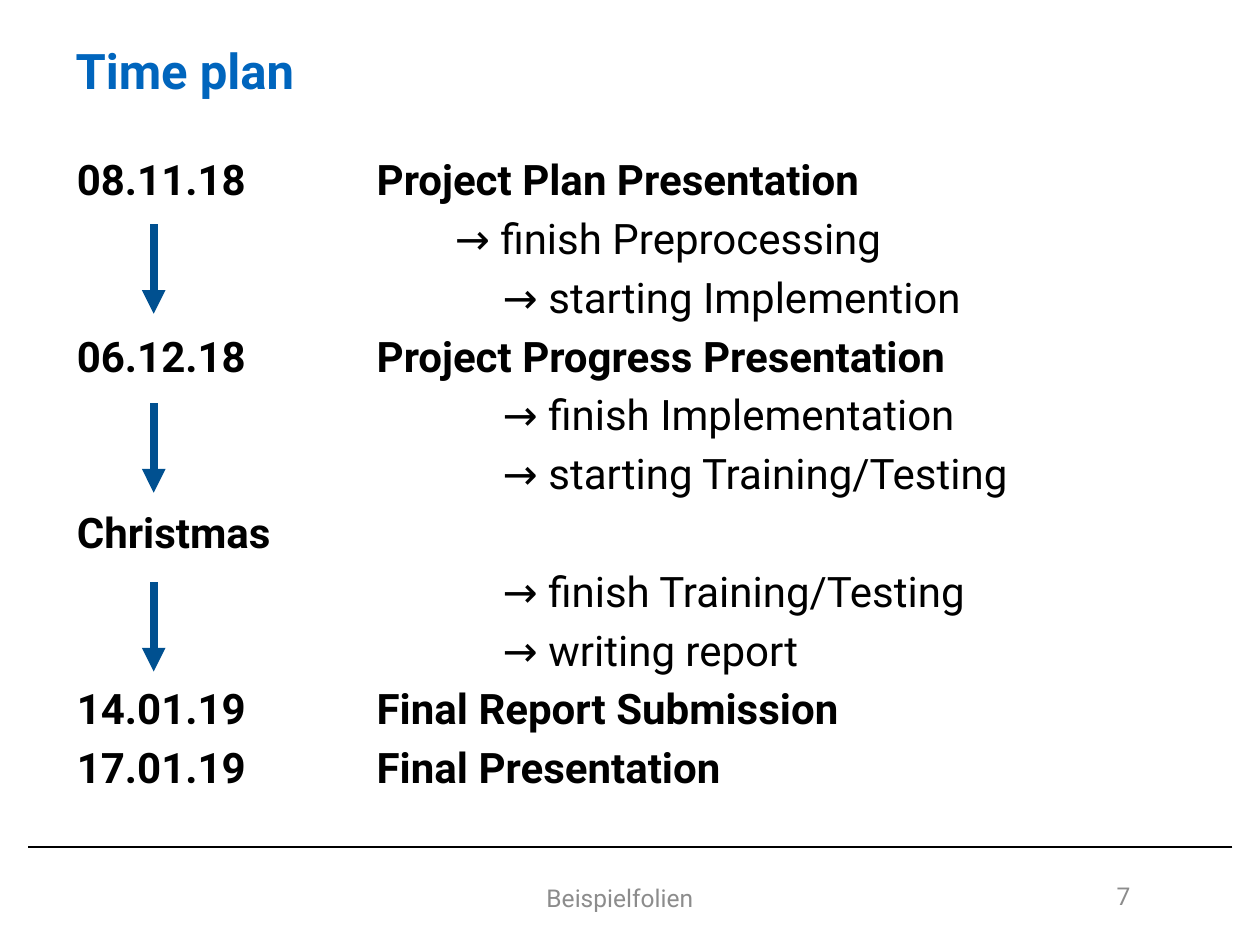
from lxml import etree
from pptx import Presentation
from pptx.dml.color import RGBColor
from pptx.enum.shapes import MSO_CONNECTOR
from pptx.enum.text import MSO_ANCHOR, MSO_AUTO_SIZE, PP_ALIGN
from pptx.oxml.ns import qn
from pptx.util import Inches, Pt

STRAIGHT = MSO_CONNECTOR.STRAIGHT
MIDDLE, TOP = MSO_ANCHOR.MIDDLE, MSO_ANCHOR.TOP
LEFT, CENTER, RIGHT = PP_ALIGN.LEFT, PP_ALIGN.CENTER, PP_ALIGN.RIGHT
NO_AUTOFIT = MSO_AUTO_SIZE.NONE

# Content: milestone date, event, tasks that follow it
TITLE = "Time plan"
MILESTONES = [
    ("08.11.18", "Project Plan Presentation",
     ["→ finish Preprocessing", "→ starting Implemention"]),
    ("06.12.18", "Project Progress Presentation",
     ["→ finish Implementation", "→ starting Training/Testing"]),
    ("Christmas", "",
     ["→ finish Training/Testing", "→ writing report"]),
    ("14.01.19", "Final Report Submission", []),
    ("17.01.19", "Final Presentation", []),
]
FOOTERS = [
    ("Beispielfolien", (1.69, 6.92, 6.46, 0.41), CENTER),
    ("7", (8.15, 6.91, 0.92, 0.4), RIGHT),
]

THEME = {
    "font": "Roboto",
    "title": {"size": 28, "color": "0065BD", "bold": True},
    "milestone": {"size": 24, "color": "000000", "bold": True},
    "task": {"size": 24, "color": "000000", "bold": False},
    "footer": {"size": 14, "color": "8C8C8C", "bold": False},
    "rule": {"width": 1, "color": "000000"},
    "arrow": {"width": 4.5, "color": "005090"},
}

# Layout in inches
TITLE_BOX = (0.5, 0.16, 7.16, 0.79)
PLAN_BOX = (0.51, 1.17, 8.98, 5.47)
TAB_STEP, HANGING_INDENT = 1, 0.38
EVENT_TABS, TASK_TABS, FIRST_TASK_TABS = "\t" * 2, "\t" * 4, "\t" * 3
ARROW_X, ARROW_TOP, ARROW_STEP, ARROW_LENGTH = 1.22, 1.78, 1.42, 0.71
RULE_LEFT, RULE_RIGHT, RULE_Y = 0.22, 9.78, 6.72


def place(shape, box, anchor):
    for name, value in zip(("left", "top", "width", "height"), box):
        setattr(shape, name, Inches(value))
    frame = shape.text_frame
    settings = {"word_wrap": True, "auto_size": NO_AUTOFIT, "vertical_anchor": anchor}
    for name, value in settings.items():
        setattr(frame, name, value)
    return frame


def write(paragraph, text, style, align=LEFT):
    paragraph.alignment = align
    run = paragraph.add_run()
    run.text = text
    values = {"name": THEME["font"], "size": Pt(style["size"]), "bold": style["bold"]}
    for name, value in values.items():
        setattr(run.font, name, value)
    run.font.color.rgb = RGBColor.from_string(style["color"])


def set_indent(paragraph, indent):
    """Hang the paragraph by indent, without a bullet, on the tab grid."""
    props = paragraph._p.get_or_add_pPr()
    lengths = {"marL": indent, "indent": -indent, "defTabSz": TAB_STEP}
    for name, value in lengths.items():
        props.set(name, str(int(Inches(value))))
    etree.SubElement(props, qn("a:buNone"))


def set_body_tabs(master):
    """Give the body style of the template the same tab grid."""
    body_style = next(master._element.iter(qn("p:bodyStyle")))
    for level in body_style.iter(qn("a:lvl1pPr")):
        level.set("defTabSz", str(int(Inches(TAB_STEP))))


def draw_line(slide, start, end, style, arrow=False):
    line = slide.shapes.add_connector(STRAIGHT, *map(Inches, start + end))
    line.line.width = Pt(style["width"])
    line.line.color.rgb = RGBColor.from_string(style["color"])
    if arrow:
        etree.SubElement(line.line._get_or_add_ln(), qn("a:tailEnd"), type="triangle")
    etree.SubElement(line._element.spPr, qn("a:effectLst"))


def plan_lines():
    """Yield text, style and indent for each line of the plan."""
    task_tabs, task_indent = FIRST_TASK_TABS, 0
    for date, event, tasks in MILESTONES:
        text = date + EVENT_TABS + event if event else date
        yield text, THEME["milestone"], HANGING_INDENT
        for task in tasks:
            yield task_tabs + task, THEME["task"], task_indent
            task_tabs, task_indent = TASK_TABS, HANGING_INDENT


def main():
    prs = Presentation()
    prs.slide_width, prs.slide_height = Inches(10), Inches(7.5)
    set_body_tabs(prs.slide_master)
    slide = prs.slides.add_slide(prs.slide_layouts[1])

    # Footer rule and texts
    draw_line(slide, (RULE_RIGHT, RULE_Y), (RULE_LEFT, RULE_Y), THEME["rule"])
    for text, box, align in FOOTERS:
        footer = slide.shapes.add_textbox(*map(Inches, box))
        write(place(footer, box, MIDDLE).paragraphs[0], text, THEME["footer"], align)

    # Title
    title = place(slide.shapes.title, TITLE_BOX, MIDDLE)
    write(title.paragraphs[0], TITLE, THEME["title"])

    # Time plan
    plan = place(slide.placeholders[1], PLAN_BOX, TOP)
    for index, (text, style, indent) in enumerate(plan_lines()):
        paragraph = plan.add_paragraph() if index else plan.paragraphs[0]
        write(paragraph, text, style)
        set_indent(paragraph, indent)

    # One arrow below each milestone that has tasks
    phases = [tasks for _, _, tasks in MILESTONES if tasks]
    for index in range(len(phases)):
        top = ARROW_TOP + index * ARROW_STEP
        draw_line(slide, (ARROW_X, top), (ARROW_X, top + ARROW_LENGTH),
                  THEME["arrow"], arrow=True)

    prs.save("out.pptx")


if __name__ == "__main__":
    main()
